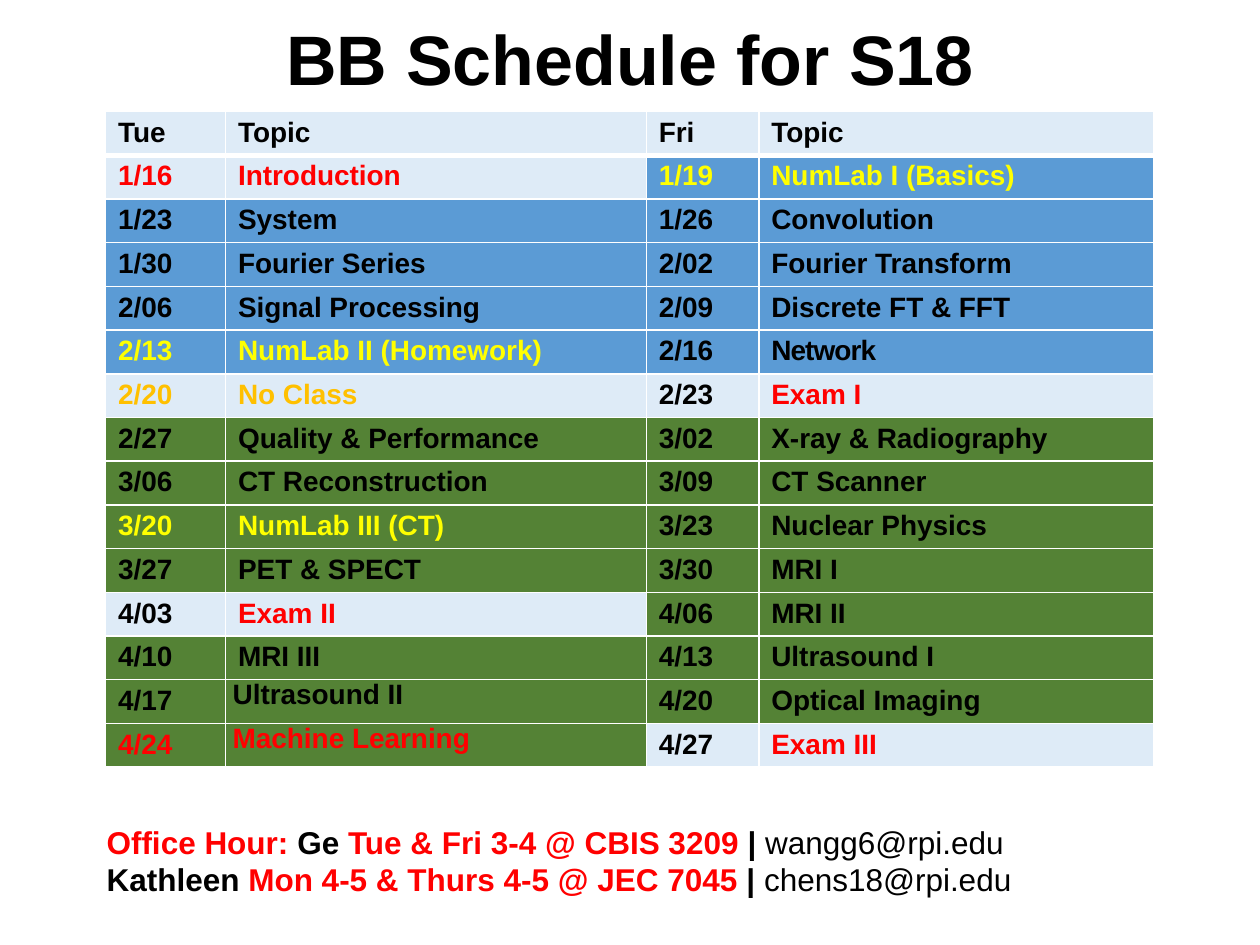
from dataclasses import dataclass
from typing import NamedTuple

from lxml import etree
from pptx import Presentation
from pptx.dml.color import RGBColor
from pptx.enum.text import MSO_ANCHOR, MSO_AUTO_SIZE, PP_ALIGN
from pptx.oxml.ns import qn
from pptx.util import Cm, Pt

CENTER = PP_ALIGN.CENTER
MIDDLE = MSO_ANCHOR.MIDDLE
GROW = MSO_AUTO_SIZE.SHAPE_TO_FIT_TEXT


@dataclass(frozen=True)
class Theme:
    font: str = "Arial"
    title_size: int = 40
    table_size: int = 16
    contact_size: int = 18
    black: str = "000000"
    white: str = "FFFFFF"
    red: str = "FF0000"
    yellow: str = "FFFF00"
    orange: str = "FFC000"
    pale: str = "DEEBF7"
    blue: str = "5B9BD5"
    green: str = "548235"


class Box(NamedTuple):
    left: float
    top: float
    width: float
    height: float

    def lengths(self):
        return [Cm(value) for value in self]


THEME = Theme()

# Kind of session: date colour, topic colour, cell fill
KINDS = {
    "head": (THEME.black, THEME.black, THEME.pale),
    "intro": (THEME.red, THEME.red, THEME.pale),
    "signals": (THEME.black, THEME.black, THEME.blue),
    "signals lab": (THEME.yellow, THEME.yellow, THEME.blue),
    "break": (THEME.orange, THEME.orange, THEME.pale),
    "exam": (THEME.black, THEME.red, THEME.pale),
    "imaging": (THEME.black, THEME.black, THEME.green),
    "imaging lab": (THEME.yellow, THEME.yellow, THEME.green),
    "extra": (THEME.red, THEME.red, THEME.green),
}

TUESDAYS = [
    ("Tue", "Topic", "head"),
    ("1/16", "Introduction", "intro"),
    ("1/23", "System", "signals"),
    ("1/30", "Fourier Series", "signals"),
    ("2/06", "Signal Processing", "signals"),
    ("2/13", "NumLab II (Homework)", "signals lab"),
    ("2/20", "No Class", "break"),
    ("2/27", "Quality & Performance", "imaging"),
    ("3/06", "CT Reconstruction", "imaging"),
    ("3/20", "NumLab III (CT)", "imaging lab"),
    ("3/27", "PET & SPECT", "imaging"),
    ("4/03", "Exam II", "exam"),
    ("4/10", "MRI III", "imaging"),
    ("4/17", "Ultrasound II", "imaging"),
    ("4/24", "Machine Learning", "extra"),
]
FRIDAYS = [
    ("Fri", "Topic", "head"),
    ("1/19", "NumLab I (Basics)", "signals lab"),
    ("1/26", "Convolution", "signals"),
    ("2/02", "Fourier Transform", "signals"),
    ("2/09", "Discrete FT & FFT", "signals"),
    ("2/16", "Network", "signals"),
    ("2/23", "Exam I", "exam"),
    ("3/02", "X-ray & Radiography", "imaging"),
    ("3/09", "CT Scanner", "imaging"),
    ("3/23", "Nuclear Physics", "imaging"),
    ("3/30", "MRI I", "imaging"),
    ("4/06", "MRI II", "imaging"),
    ("4/13", "Ultrasound I", "imaging"),
    ("4/20", "Optical Imaging", "imaging"),
    ("4/27", "Exam III", "exam"),
]
COLUMN_WIDTHS = [2.42, 8.48, 2.27, 7.96]
CELL_MARGINS = (0.25, 0.11)
TIGHT_MARGINS = (0.14, 0)
TIGHT_TOPICS = {"Ultrasound II", "Machine Learning"}
LETTER_SPACING = {"Network": -0.5}

# Contact lines: text, colour, bold
CONTACTS = [
    [
        ("Office Hour: ", THEME.red, True),
        ("Ge", THEME.black, True),
        (" Tue & Fri 3-4 @ CBIS 3209 ", THEME.red, True),
        ("| ", THEME.black, True),
        ("wangg6@rpi.edu", THEME.black, False),
    ],
    [
        ("Kathleen ", THEME.black, True),
        ("Mon 4-5 & Thurs 4-5 @ JEC 7045 ", THEME.red, True),
        ("| ", THEME.black, True),
        ("chens18@rpi.edu", THEME.black, False),
    ],
]


def add_span(para, text, size, color, bold=True):
    span = para.add_run()
    span.text = text
    span.font.name = THEME.font
    span.font.size = Pt(size)
    span.font.bold = bold
    span.font.color.rgb = RGBColor.from_string(color)
    return span


def add_borders(cell, bottom_width):
    properties = cell._tc.get_or_add_tcPr()
    for side, width in (("lnL", 1), ("lnR", 1), ("lnT", 1), ("lnB", bottom_width)):
        line = etree.SubElement(properties, qn(f"a:{side}"), w=str(Pt(width)))
        fill = etree.SubElement(line, qn("a:solidFill"))
        etree.SubElement(fill, qn("a:srgbClr"), val=THEME.white)


def fill_cell(cell, text, color, fill, bottom_width):
    add_borders(cell, bottom_width)
    cell.fill.solid()
    cell.fill.fore_color.rgb = RGBColor.from_string(fill)
    across, down = TIGHT_MARGINS if text in TIGHT_TOPICS else CELL_MARGINS
    cell.margin_left = cell.margin_right = Cm(across)
    cell.margin_top = cell.margin_bottom = Cm(down)
    span = add_span(cell.text_frame.paragraphs[0], text, THEME.table_size, color)
    if text in LETTER_SPACING:
        spacing = round(LETTER_SPACING[text] * 100)
        span._r.get_or_add_rPr().set("spc", str(spacing))


def add_title(page, box):
    frame = page.shapes.add_textbox(*box.lengths()).text_frame
    frame.word_wrap = True
    frame.vertical_anchor = MIDDLE
    para = frame.paragraphs[0]
    para.alignment = CENTER
    para.line_spacing = 0.9
    add_span(para, "BB Schedule for S18", THEME.title_size, THEME.black)


def add_schedule(page, box):
    table = page.shapes.add_table(
        len(TUESDAYS), len(COLUMN_WIDTHS), *box.lengths()
    ).table
    for column, width in zip(table.columns, COLUMN_WIDTHS):
        column.width = Cm(width)
    for row in table.rows:
        row.height = Cm(box.height / len(TUESDAYS))
    for first_column, sessions in ((0, TUESDAYS), (2, FRIDAYS)):
        for row, (date, topic, kind) in enumerate(sessions):
            date_color, topic_color, fill = KINDS[kind]
            bottom = 3 if kind == "head" else 1
            fill_cell(table.cell(row, first_column), date, date_color, fill, bottom)
            fill_cell(table.cell(row, first_column + 1), topic, topic_color, fill, bottom)


def add_contacts(page, box):
    frame = page.shapes.add_textbox(*box.lengths()).text_frame
    frame.word_wrap = True
    frame.auto_size = GROW
    for index, line in enumerate(CONTACTS):
        para = frame.add_paragraph() if index else frame.paragraphs[0]
        for text, color, bold in line:
            add_span(para, text, THEME.contact_size, color, bold)


def main():
    deck = Presentation()
    deck.slide_width, deck.slide_height = Cm(25.4), Cm(19.05)
    page = deck.slides.add_slide(deck.slide_layouts[6])
    add_schedule(page, Box(2.13, 2.25, sum(COLUMN_WIDTHS), 13.22))
    add_title(page, Box(0.42, 0.1, 24.56, 2.34))
    add_contacts(page, Box(1.9, 16.46, 22.86, 1.8))
    deck.save("out.pptx")


if __name__ == "__main__":
    main()
